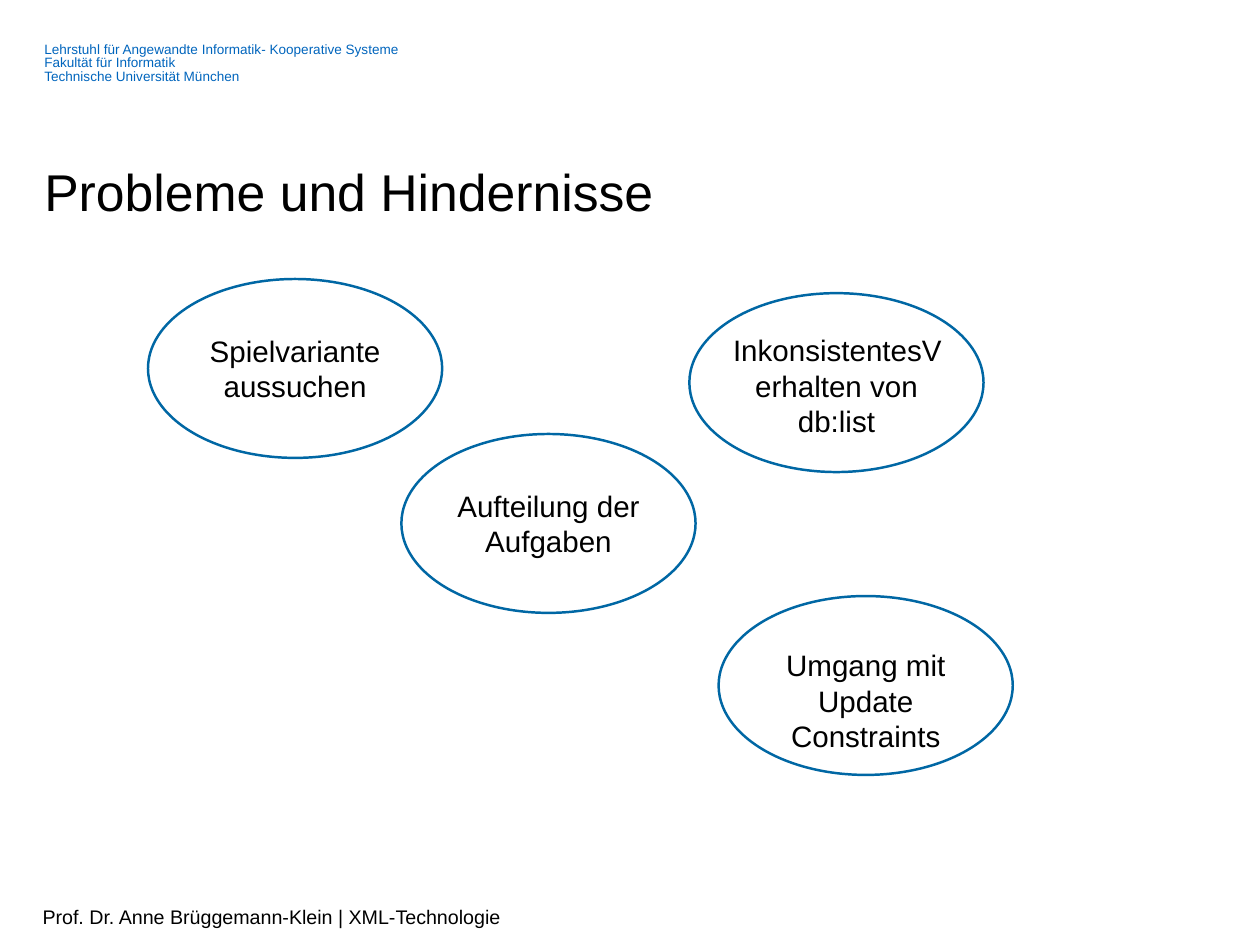
from dataclasses import dataclass

from pptx import Presentation
from pptx.dml.color import RGBColor
from pptx.enum import shapes, text
from pptx.util import Inches, Pt

HEADER_BLUE = RGBColor(0x00, 0x65, 0xBD)
OUTLINE_BLUE = RGBColor(0x00, 0x67, 0xA4)
BLACK = RGBColor(0x00, 0x00, 0x00)
WHITE = RGBColor(0xFF, 0xFF, 0xFF)

FONT = "Arial"
BUBBLE_WIDTH, BUBBLE_HEIGHT = 3.32, 2.02
CAPTION_WIDTH, CAPTION_HEIGHT = 2.35, 1.2


@dataclass(frozen=True)
class Wording:
    lines: tuple[str, ...]
    left: float
    top: float
    width: float
    height: float
    size: float
    color: RGBColor = BLACK
    line_spacing: float | None = None
    align: text.PP_ALIGN = text.PP_ALIGN.LEFT
    anchor: text.MSO_ANCHOR = text.MSO_ANCHOR.TOP


@dataclass(frozen=True)
class Problem:
    caption: str
    left: float
    top: float
    caption_drop: float = 0


HEADER = Wording(
    (
        "Lehrstuhl für Angewandte Informatik- Kooperative Systeme",
        "Fakultät für Informatik",
        "Technische Universität München",
    ),
    0.5, 0.49, 11.97, 0.46, 11, HEADER_BLUE, line_spacing=11,
)
TITLE = Wording(("Probleme und Hindernisse",), 0.5, 1.88, 13.23, 0.62, 42, line_spacing=45)
FOOTER = Wording(
    ("Prof. Dr. Anne Brüggemann-Klein | XML-Technologie",),
    0.48, 10.23, 10.05, 0.24, 16, anchor=text.MSO_ANCHOR.MIDDLE,
)
PROBLEMS = (
    Problem("Spielvariante aussuchen", 1.67, 3.15),
    Problem("Aufteilung der Aufgaben", 4.53, 4.9),
    Problem("Umgang mit Update Constraints", 8.11, 6.73, 0.17),
    Problem("InkonsistentesVerhalten von db:list", 7.78, 3.31, 0.03),
)


def write(canvas, wording: Wording) -> None:
    box = canvas.add_textbox(
        Inches(wording.left), Inches(wording.top), Inches(wording.width), Inches(wording.height)
    )
    frame = box.text_frame
    frame.word_wrap = True
    frame.vertical_anchor = wording.anchor
    frame.margin_left = frame.margin_right = frame.margin_top = frame.margin_bottom = 0
    frame.text = "\n".join(wording.lines)
    for paragraph in frame.paragraphs:
        paragraph.alignment = wording.align
        if wording.line_spacing is not None:
            paragraph.line_spacing = Pt(wording.line_spacing)
        paragraph.font.name = FONT
        paragraph.font.size = Pt(wording.size)
        paragraph.font.color.rgb = wording.color


def draw_problem(canvas, problem: Problem) -> None:
    group = canvas.add_group_shape()
    bubble = group.shapes.add_shape(
        shapes.MSO_SHAPE.OVAL,
        Inches(problem.left), Inches(problem.top), Inches(BUBBLE_WIDTH), Inches(BUBBLE_HEIGHT),
    )
    bubble.shadow.inherit = False
    bubble.fill.solid()
    bubble.fill.fore_color.rgb = WHITE
    bubble.line.color.rgb = OUTLINE_BLUE
    bubble.line.width = Pt(2)
    write(group.shapes, Wording(
        (problem.caption,),
        problem.left + (BUBBLE_WIDTH - CAPTION_WIDTH) / 2,
        problem.top + (BUBBLE_HEIGHT - CAPTION_HEIGHT) / 2 + problem.caption_drop,
        CAPTION_WIDTH, CAPTION_HEIGHT, 24,
        align=text.PP_ALIGN.CENTER, anchor=text.MSO_ANCHOR.MIDDLE,
    ))


def main() -> None:
    presentation = Presentation()
    presentation.slide_width = Inches(14.22)
    presentation.slide_height = Inches(10.67)
    slide = presentation.slides.add_slide(presentation.slide_layouts[6])
    for wording in (HEADER, TITLE, FOOTER):
        write(slide.shapes, wording)
    for problem in PROBLEMS:
        draw_problem(slide.shapes, problem)
    presentation.save("out.pptx")


if __name__ == "__main__":
    main()
